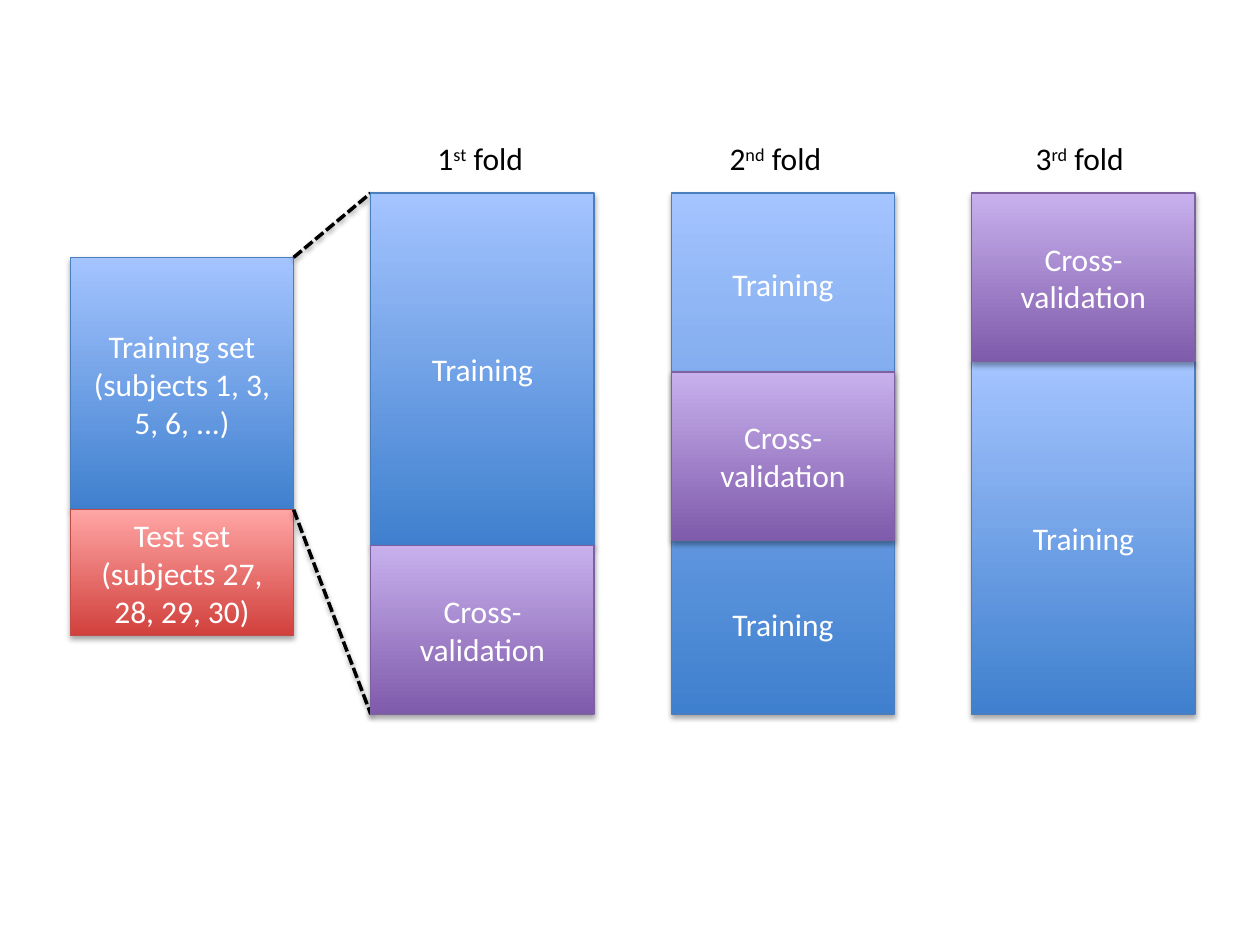
from lxml import etree
from pptx import Presentation
from pptx.dml.color import RGBColor
from pptx.enum.dml import MSO_LINE
from pptx.enum.shapes import MSO_CONNECTOR, MSO_SHAPE
from pptx.enum.text import MSO_ANCHOR, MSO_AUTO_SIZE, PP_ALIGN
from pptx.oxml import parse_xml
from pptx.oxml.ns import nsdecls
from pptx.util import Pt

COLORS = {"text": "000000", "block_text": "FFFFFF", "shadow": "000000"}
# Each kind of block: gradient from bottom to top, then outline
BLOCKS = {
    "training": ("3F80CE", "A4C4FF", "4B7EBC"),
    "test": ("D1403C", "FFA6A5", "BF4C48"),
    "validation": ("7F5BAB", "C8B0ED", "7D60A0"),
}
FONT = {"name": "Calibri", "size": Pt(18)}

# Column grid, in points
LEFT, WIDTH, PITCH = 40.2, 127.6, 171.7
SET_TOP, TRAINING_SET, TEST_SET = 147.1, 144.2, 72
FOLD_TOP, FOLD_HEIGHT, VALIDATION = 110.3, 297.8, 96.4
TRAINING = FOLD_HEIGHT - VALIDATION
LABEL_RISE, LABEL_HEIGHT = 34.4, 29


def rgb(value):
    return RGBColor.from_string(value)


def set_format(target, values):
    for name, value in values.items():
        setattr(target, name, value)


def add_run(paragraph, text, color):
    run = paragraph.add_run()
    run.text = text
    set_format(run.font, FONT)
    run.font.color.rgb = rgb(color)
    return run


def add_shadow(shape, distance, opacity):
    properties = shape._element.spPr
    effects = parse_xml(
        f'<a:effectLst {nsdecls("a")}><a:outerShdw blurRad="{Pt(3.15)}" '
        f'dist="{Pt(distance)}" dir="5400000" rotWithShape="0">'
        f'<a:srgbClr val="{COLORS["shadow"]}"><a:alpha val="{opacity * 1000}"/>'
        '</a:srgbClr></a:outerShdw></a:effectLst>')
    etree.strip_elements(properties, "{*}effectLst")
    properties.append(effects)


def add_block(slide, kind, lines, left, top, height, gap=0):
    shape = slide.shapes.add_shape(
        MSO_SHAPE.RECTANGLE, Pt(left), Pt(top), Pt(WIDTH), Pt(height))
    bottom, upper, outline = BLOCKS[kind]
    shape.fill.gradient()
    shape.fill.gradient_angle = 90
    for stop, position, color in zip(shape.fill.gradient_stops, (0, 1), (bottom, upper)):
        stop.position = position
        stop.color.rgb = rgb(color)
    shape.line.color.rgb = rgb(outline)
    shape.line.width = Pt(0.75)
    add_shadow(shape, 1.8, 35)

    frame = shape.text_frame
    set_format(frame, {"word_wrap": True, "vertical_anchor": MSO_ANCHOR.MIDDLE})
    for index, line in enumerate(lines):
        paragraph = frame.add_paragraph() if index else frame.paragraphs[0]
        paragraph.alignment = PP_ALIGN.CENTER
        if index:
            paragraph.space_before = Pt(gap)
        add_run(paragraph, line, COLORS["block_text"])


def add_label(slide, number, suffix, left, top, width):
    box = slide.shapes.add_textbox(Pt(left), Pt(top), Pt(width), Pt(LABEL_HEIGHT))
    set_format(box.text_frame, {"word_wrap": False,
                                "auto_size": MSO_AUTO_SIZE.SHAPE_TO_FIT_TEXT})
    paragraph = box.text_frame.paragraphs[0]
    add_run(paragraph, number, COLORS["text"])
    ordinal = add_run(paragraph, suffix, COLORS["text"])
    ordinal.font._element.set("baseline", "30000")
    add_run(paragraph, " fold", COLORS["text"])


def add_data_sets(slide, left, top):
    add_block(slide, "training", ["Training set (subjects 1, 3, 5, 6, ...)"],
              left, top, TRAINING_SET)
    add_block(slide, "test", ["Test set (subjects 27, 28, 29, 30)"],
              left, top + TRAINING_SET, TEST_SET)


def add_fold(slide, fold, left, top):
    number, suffix, indent, width, training, validation_offset = fold
    offset, height, lines, gap = training
    add_block(slide, "training", lines, left, top + offset, height, gap)
    add_block(slide, "validation", ["Cross-validation"],
              left, top + validation_offset, VALIDATION)
    add_label(slide, number, suffix, left + indent, top - LABEL_RISE, width)


def add_guide(slide, start_y, end_y):
    line = slide.shapes.add_connector(
        MSO_CONNECTOR.STRAIGHT, Pt(LEFT + WIDTH), Pt(start_y), Pt(LEFT + PITCH), Pt(end_y))
    line.line.color.rgb = rgb(COLORS["text"])
    set_format(line.line, {"width": Pt(2), "dash_style": MSO_LINE.SQUARE_DOT})
    add_shadow(line, 1.6, 38)


# Number, suffix, label indent and width, training block
# (offset, height, lines, gap between lines), validation offset
FOLDS = [
    ("1", "st", 31, 65.5, (0, TRAINING, ["Training"], 0), TRAINING),
    ("2", "nd", 26.2, 69, (0, FOLD_HEIGHT, ["Training", "Training"], 172.8), 102.2),
    ("3", "rd", 29.4, 67, (VALIDATION, TRAINING, ["Training"], 0), 0),
]

presentation = Presentation()
presentation.slide_width, presentation.slide_height = Pt(720), Pt(540)
slide = presentation.slides.add_slide(presentation.slide_layouts[6])

# Data split
add_data_sets(slide, LEFT, SET_TOP)

# Guides from the training set to the first fold
add_guide(slide, SET_TOP, FOLD_TOP)
add_guide(slide, SET_TOP + TRAINING_SET, FOLD_TOP + FOLD_HEIGHT)

# Folds
for column, fold in enumerate(FOLDS, start=1):
    add_fold(slide, fold, LEFT + column * PITCH, FOLD_TOP)

presentation.save("out.pptx")
